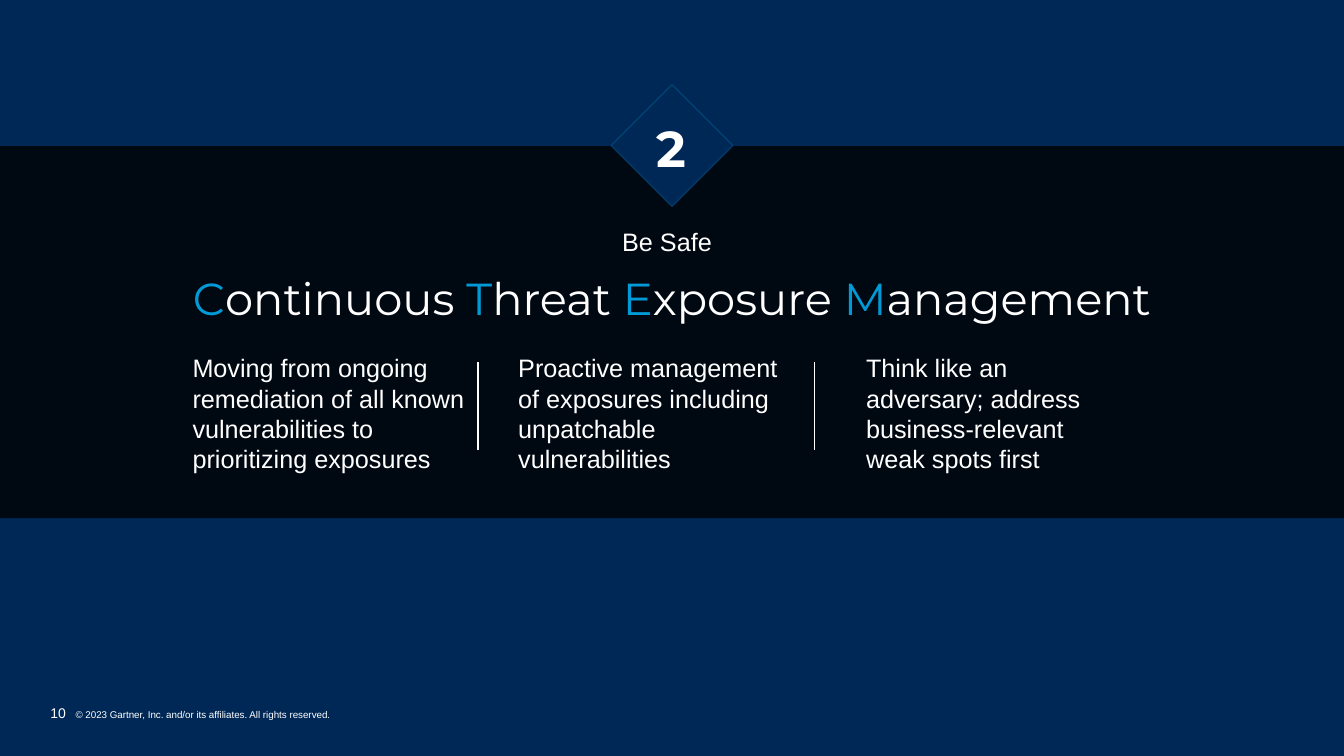
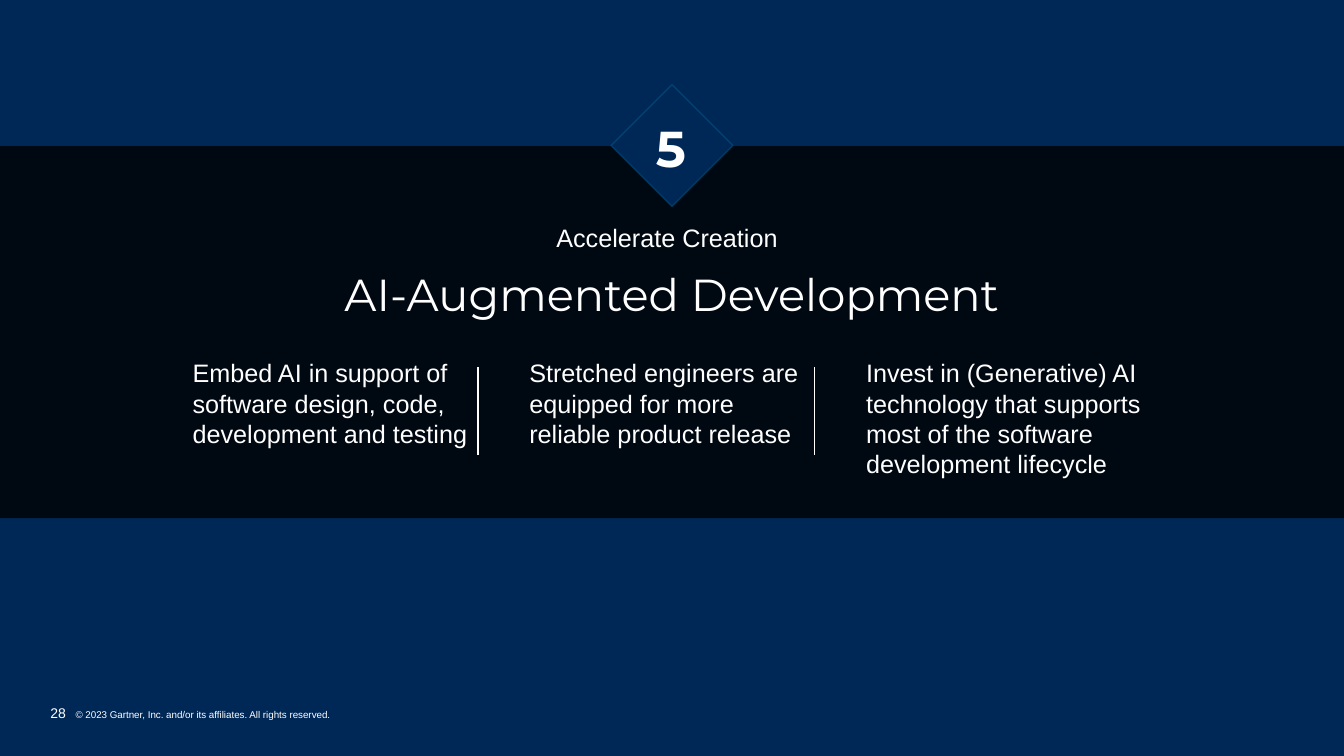
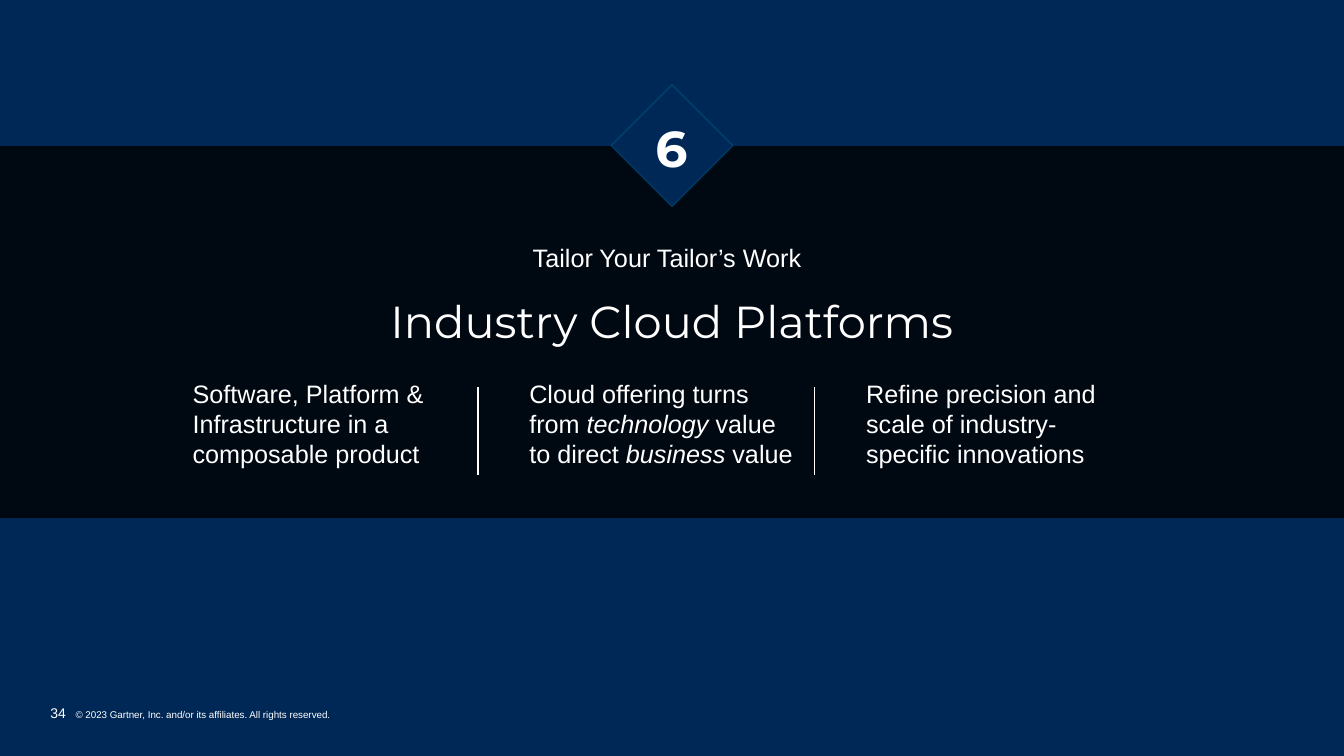
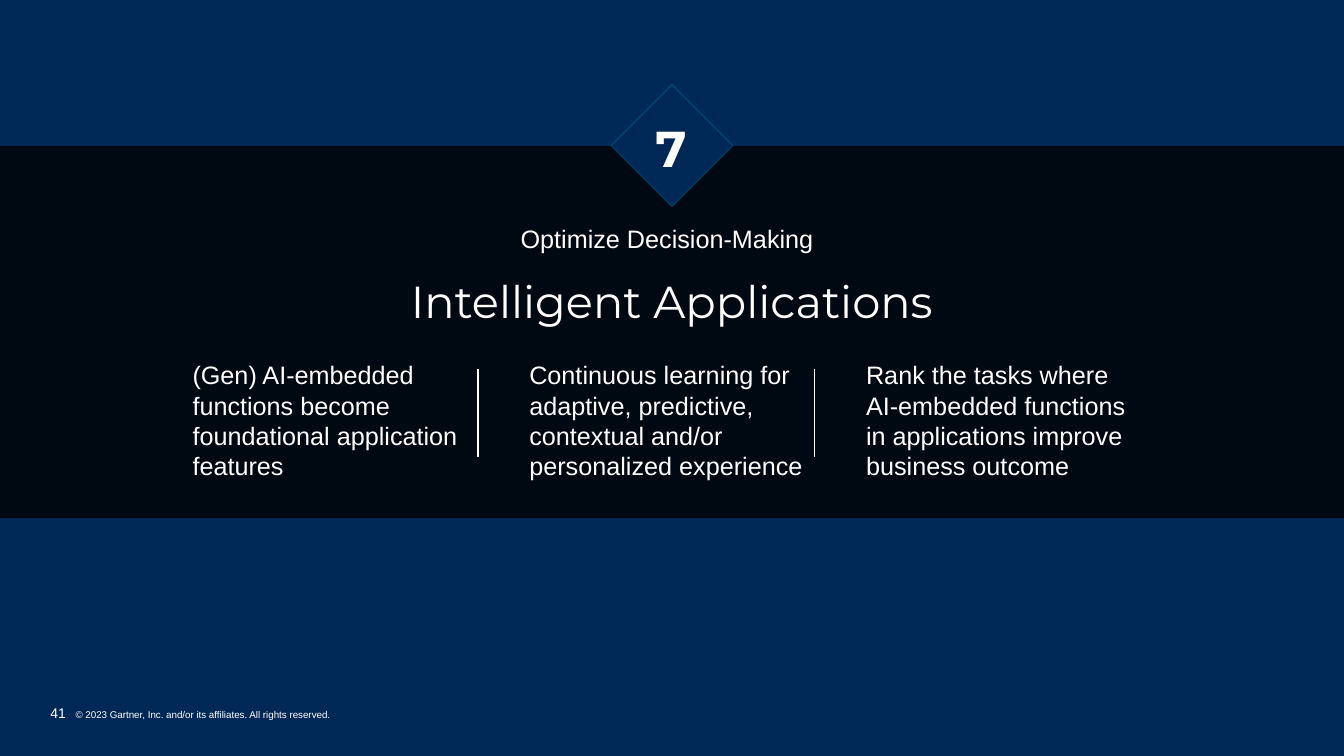
"""Build four trend divider slides with python-pptx."""
from lxml import etree
from pptx import Presentation
from pptx.dml.color import RGBColor
from pptx.enum.shapes import MSO_CONNECTOR, MSO_SHAPE
from pptx.enum.text import MSO_ANCHOR, PP_ALIGN
from pptx.oxml.ns import qn
from pptx.util import Inches, Pt

LEFT, CENTER, RIGHT = PP_ALIGN.LEFT, PP_ALIGN.CENTER, PP_ALIGN.RIGHT
TOP, MIDDLE, BOTTOM = MSO_ANCHOR.TOP, MSO_ANCHOR.MIDDLE, MSO_ANCHOR.BOTTOM
RECTANGLE, DIAMOND = MSO_SHAPE.RECTANGLE, MSO_SHAPE.DIAMOND
STRAIGHT = MSO_CONNECTOR.STRAIGHT

NAVY, BLACK, WHITE, BLUE = "002856", "000000", "FFFFFF", "009AD7"
BODY_FONT, TITLE_FONT = "Arial", "Montserrat"
BODY_INSETS = (0, 0.05, 0.1, 0.05)
TITLE_INSETS = (0.1, 0.05, 0.1, 0.05)

SLIDE_WIDTH, SLIDE_HEIGHT = 13.33, 7.5
FIRST_COLUMN, COLUMN_STEP, COLUMN_WIDTH = 1.91, 3.34, 2.83
LINE_HEIGHT = 0.303
DIVIDER_DROP, DIVIDER_HEIGHT = 0.14, 0.87
BADGE_SIZE, BADGE_TOP = 1.21, 0.84

COPYRIGHT = "© 2023 Gartner, Inc. and/or its affiliates. All rights reserved."

# Asterisks enclose emphasised words; columns hold text, lines, width and shift.
TRENDS = [
    {
        "page": "10", "number": "2",
        "theme": "Be Safe", "theme_top": 2.2,
        "title": "*C*ontinuous *T*hreat *E*xposure *M*anagement", "title_top": 2.75,
        "columns_top": 3.45,
        "columns": [
            ("Moving from ongoing remediation of all known vulnerabilities "
             "to prioritizing exposures", 4, COLUMN_WIDTH, 0),
            ("Proactive management of exposures including unpatchable "
             "vulnerabilities", 4, COLUMN_WIDTH, -0.11),
            ("Think like an adversary; address business-relevant weak spots "
             "first", 4, 2.45, 0),
        ],
    },
    {
        "page": "28", "number": "5",
        "theme": "Accelerate Creation", "theme_top": 2.16,
        "title": "AI-Augmented Development", "title_top": 2.71,
        "columns_top": 3.5,
        "columns": [
            ("Embed AI in support of software design, code, development and "
             "testing", 4, COLUMN_WIDTH, 0),
            ("Stretched engineers are equipped for more reliable product "
             "release", 3, COLUMN_WIDTH, 0),
            ("Invest in (Generative) AI technology that supports most of the "
             "software development lifecycle", 4, COLUMN_WIDTH, 0),
        ],
    },
    {
        "page": "34", "number": "6",
        "theme": "Tailor Your Tailor’s Work", "theme_top": 2.35,
        "title": "Industry Cloud Platforms", "title_top": 2.97,
        "columns_top": 3.7,
        "columns": [
            ("Software, Platform & Infrastructure in a composable product",
             3, COLUMN_WIDTH, 0),
            ("Cloud offering turns from *technology* value\n"
             "to direct *business* value", 3, COLUMN_WIDTH, 0),
            ("Refine precision and scale of industry-specific innovations",
             3, 2.42, 0),
        ],
    },
    {
        "page": "41", "number": "7",
        "theme": "Optimize Decision-Making", "theme_top": 2.17,
        "title": "Intelligent Applications", "title_top": 2.78,
        "columns_top": 3.52,
        "columns": [
            ("(Gen) AI-embedded functions become foundational application "
             "features", 4, COLUMN_WIDTH, 0),
            ("Continuous learning for adaptive, predictive, contextual and/or "
             "personalized experience", 5, COLUMN_WIDTH, 0),
            ("Rank the tasks where AI-embedded functions in applications "
             "improve business outcome", 4, COLUMN_WIDTH, 0),
        ],
    },
]


def rgb(value):
    """Return the colour of a hex string."""
    return RGBColor.from_string(value)


def set_opacity(paint, percent):
    """Make a solid fill or line partly transparent."""
    color = next(paint.iter(qn("a:srgbClr")))
    etree.SubElement(color, qn("a:alpha")).set("val", str(percent * 1000))


def style_run(run, size, font=BODY_FONT, color=WHITE):
    """Set the typeface, size and colour of a run."""
    run.font.name = font
    run.font.size = Pt(size)
    run.font.color.rgb = rgb(color)


def add_text(shapes, box, text, size=18, font=BODY_FONT, align=LEFT,
             anchor=TOP, insets=BODY_INSETS):
    """Add a text box; return its paragraph and its emphasised runs."""
    frame = shapes.add_textbox(*map(Inches, box)).text_frame
    frame.word_wrap = True
    frame.vertical_anchor = anchor
    (frame.margin_left, frame.margin_top,
     frame.margin_right, frame.margin_bottom) = map(Inches, insets)
    paragraph = frame.paragraphs[0]
    paragraph.alignment = align
    emphasised = []
    for row, line in enumerate(text.split("\n")):
        if row:
            paragraph.add_line_break()
        for index, words in enumerate(line.split("*")):
            if words:
                run = paragraph.add_run()
                run.text = words
                style_run(run, size, font)
                if index % 2:
                    emphasised.append(run)
    return paragraph, emphasised


def add_panel(shapes, preset, box, color):
    """Add a preset shape with a plain fill and no outline."""
    panel = shapes.add_shape(preset, *map(Inches, box))
    panel.shadow.inherit = False
    panel.fill.solid()
    panel.fill.fore_color.rgb = rgb(color)
    panel.line.fill.background()
    return panel


def add_footer(shapes, page):
    """Add the page number and the copyright line."""
    footer, _ = add_text(shapes, (0.5, 6.99, 7.99, 0.17), page, size=10,
                         anchor=BOTTOM, insets=(0, 0, 0, 0))
    properties = footer._p.get_or_add_pPr()
    properties.set("marL", str(Inches(0.25)))
    properties.set("indent", str(Inches(-0.25)))
    notice = footer.add_run()
    notice.text = "\t" + COPYRIGHT
    style_run(notice, 7)


def add_badge(shapes, number):
    """Add the numbered diamond on the upper edge of the band."""
    badge = shapes.add_group_shape().shapes
    left = (SLIDE_WIDTH - BADGE_SIZE) / 2
    diamond = add_panel(badge, DIAMOND, (left, BADGE_TOP, BADGE_SIZE, BADGE_SIZE), NAVY)
    diamond.line.color.rgb = rgb(BLUE)
    diamond.line.width = Pt(1)
    set_opacity(diamond.line._ln, 22)
    digit, _ = add_text(badge, (6.5, 1.11, 0.4, 0.71), number, size=36,
                        font=TITLE_FONT, align=RIGHT)
    digit.runs[0].font.bold = True


def add_divider(shapes, x, top):
    """Add a thin vertical line between two columns."""
    divider = shapes.add_connector(STRAIGHT, Inches(x), Inches(top),
                                   Inches(x), Inches(top + DIVIDER_HEIGHT))
    divider.line.color.rgb = rgb(WHITE)
    divider.line.width = Pt(1)
    etree.SubElement(divider._element.spPr, qn("a:effectLst"))


def add_columns(shapes, columns, top):
    """Add the text columns and the lines between them."""
    for index, (text, lines, width, shift) in enumerate(columns):
        left = FIRST_COLUMN + index * COLUMN_STEP
        height = 0.1 + lines * LINE_HEIGHT
        _, emphasised = add_text(shapes, (left + shift, top, width, height), text)
        for run in emphasised:
            run.font.italic = True
        if index < len(columns) - 1:
            add_divider(shapes, left + COLUMN_WIDTH, top + DIVIDER_DROP)


def add_trend(slide, trend):
    """Fill one slide with a trend."""
    shapes = slide.shapes
    add_footer(shapes, trend["page"])
    band = add_panel(shapes, RECTANGLE, (0, 1.45, SLIDE_WIDTH, 3.69), BLACK)
    set_opacity(band._element.spPr, 79)
    add_text(shapes, (3.6, trend["theme_top"], 6.13, 0.4), trend["theme"], align=CENTER)
    title, initials = add_text(shapes, (0.5, trend["title_top"], 12.33, 0.48),
                               trend["title"], size=32, font=TITLE_FONT,
                               align=CENTER, anchor=MIDDLE, insets=TITLE_INSETS)
    title.line_spacing = 0.9
    for run in initials:
        run.font.color.rgb = rgb(BLUE)
    add_columns(shapes, trend["columns"], trend["columns_top"])
    add_badge(shapes, trend["number"])


def main():
    """Build and save the presentation."""
    deck = Presentation()
    deck.slide_width = Inches(SLIDE_WIDTH)
    deck.slide_height = Inches(SLIDE_HEIGHT)
    backdrop = deck.slide_master.background.fill
    backdrop.solid()
    backdrop.fore_color.rgb = rgb(NAVY)
    blank = deck.slide_layouts[6]
    for trend in TRENDS:
        add_trend(deck.slides.add_slide(blank), trend)
    deck.save("out.pptx")


if __name__ == "__main__":
    main()
